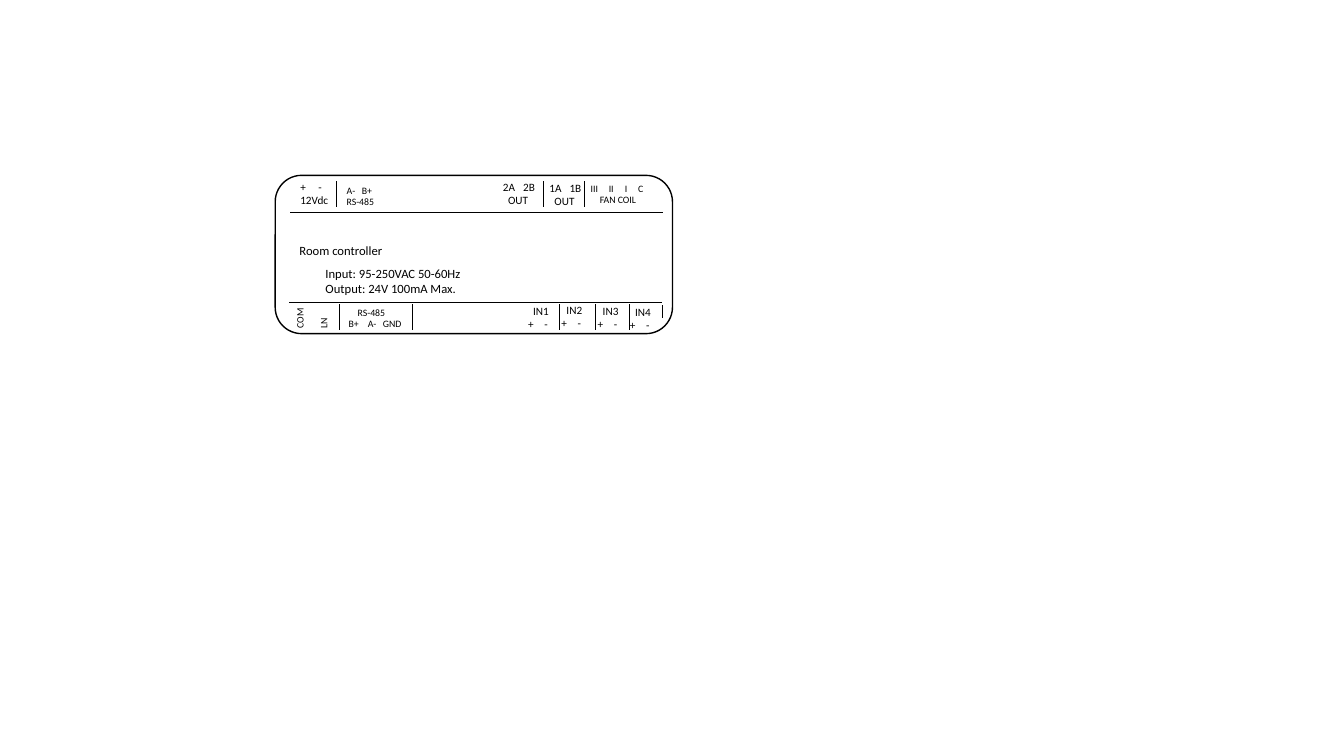
"""Draw the terminal label of a room controller."""
from pptx import Presentation
from pptx.dml.color import RGBColor
from pptx.enum.shapes import MSO_CONNECTOR as Link, MSO_SHAPE as Shape
from pptx.enum.text import MSO_ANCHOR as Anchor, MSO_AUTO_SIZE as Fit, PP_ALIGN as Align
from pptx.oxml.ns import qn
from pptx.util import Inches, Pt
from lxml.etree import SubElement

BLACK = RGBColor(0, 0, 0)
FONT = "Calibri"


def place(shape, left, top, width, height):
    """Move and size a shape, in inches."""
    shape.left, shape.top = Inches(left), Inches(top)
    shape.width, shape.height = Inches(width), Inches(height)


def add_tabs(para, stops):
    """Give a paragraph left tab stops, in inches."""
    tabs = SubElement(para._p.get_or_add_pPr(), qn("a:tabLst"))
    for stop in stops:
        SubElement(tabs, qn("a:tab"), pos=str(Inches(stop)), algn="l")


def fill_text(shape, size, lines):
    """Write lines, each a text followed by its tab stops."""
    frame = shape.text_frame
    frame.text = "\n".join(text for text, *stops in lines)
    frame.word_wrap = True
    frame.auto_size = Fit.SHAPE_TO_FIT_TEXT
    frame.vertical_anchor = Anchor.TOP
    for para, (text, *stops) in zip(frame.paragraphs, lines):
        para.alignment = Align.LEFT
        if stops:
            add_tabs(para, stops)
        for run in para.runs:
            run.font.size = Pt(size)
            run.font.name = FONT
            run.font.color.rgb = BLACK


def add_label(slide, box, size, *lines):
    """Add a text box at a place and return it."""
    label = slide.shapes.add_textbox(0, 0, 0, 0)
    fill_text(label, size, lines)
    place(label, *box)
    return label


def add_rule(slide, *ends):
    """Add a thin black line from x, y to x, y."""
    rule = slide.shapes.add_connector(Link.STRAIGHT, *map(Inches, ends))
    rule.line.color.rgb = BLACK
    rule.line.width = Pt(0.5)
    SubElement(rule._element.spPr, qn("a:effectLst"))


def add_case(slide):
    """Add the rounded outline of the device."""
    case = slide.shapes.add_shape(Shape.ROUNDED_RECTANGLE, 0, 0, 0, 0)
    place(case, 2.73, 1.74, 3.94, 1.57)
    case.fill.background()
    case.line.color.rgb = BLACK
    case.line.width = Pt(1)
    case.shadow.inherit = False


def add_top(slide):
    """Add the upper row of terminals."""
    add_rule(slide, 2.88, 2.11, 6.58, 2.11)
    for x in (3.34, 5.39, 5.8):
        add_rule(slide, x, 1.8, x, 2.05)
    add_label(slide, (2.88, 1.74, 0.59, 0.37), 8, ("+\t-", 0.18), ("12Vdc",))
    add_label(slide, (3.34, 1.78, 0.59, 0.34), 7, ("A-\tB+", 0.15), ("RS-485",))
    for name, left, top in (("2", 4.89, 1.74), ("1", 5.35, 1.75)):
        add_label(slide, (left, top, 0.59, 0.37), 8,
                  (f"{name}A\t{name}B", 0.2), ("\tOUT", 0.05))
    add_label(slide, (5.76, 1.76, 0.91, 0.34), 7,
              ("III\tII\tI\tC", 0.18, 0.34, 0.47), ("\tFAN COIL", 0.09))


def add_base(slide):
    """Add the lower row of terminals."""
    add_rule(slide, 2.87, 3, 6.57, 3)
    for x in (3.37, 4.09, 5.55, 5.9, 6.24):
        add_rule(slide, x, 3.02, x, 3.27)
    add_rule(slide, 6.57, 3.03, 6.57, 3.15)
    power = add_label(slide, (2.8, 2.84, 0.58, 0.45), 7, ("COM",), ("LN",))
    power.rotation = 270
    power.text_frame.paragraphs[1].space_before = Pt(8.5)
    add_label(slide, (3.36, 2.99, 0.84, 0.34), 7,
              ("\tRS-485", 0.09), ("B+\tA-\tGND", 0.19, 0.34))
    inputs = ((5.07, 2.97), (5.4, 2.96), (5.76, 2.97), (6.08, 2.98))
    for number, (left, top) in enumerate(inputs, 1):
        add_label(slide, (left, top, 0.64, 0.37), 8,
                  (f"\tIN{number}", 0.12), ("\t+\t-", 0.07, 0.23))


def main():
    """Build and save the slide."""
    deck = Presentation()
    deck.slide_width, deck.slide_height = Inches(13.33), Inches(7.5)
    slide = deck.slides.add_slide(deck.slide_layouts[5])
    title = slide.shapes.title
    fill_text(title, 9, [("Room controller",)])
    place(title, 2.87, 2.36, 1.23, 0.25)
    add_label(slide, (3.13, 2.59, 1.7, 0.4), 9,
              ("Input: 95-250VAC 50-60Hz",), ("Output: 24V 100mA Max.",))
    add_top(slide)
    add_base(slide)
    add_case(slide)
    deck.save("out.pptx")


if __name__ == "__main__":
    main()
